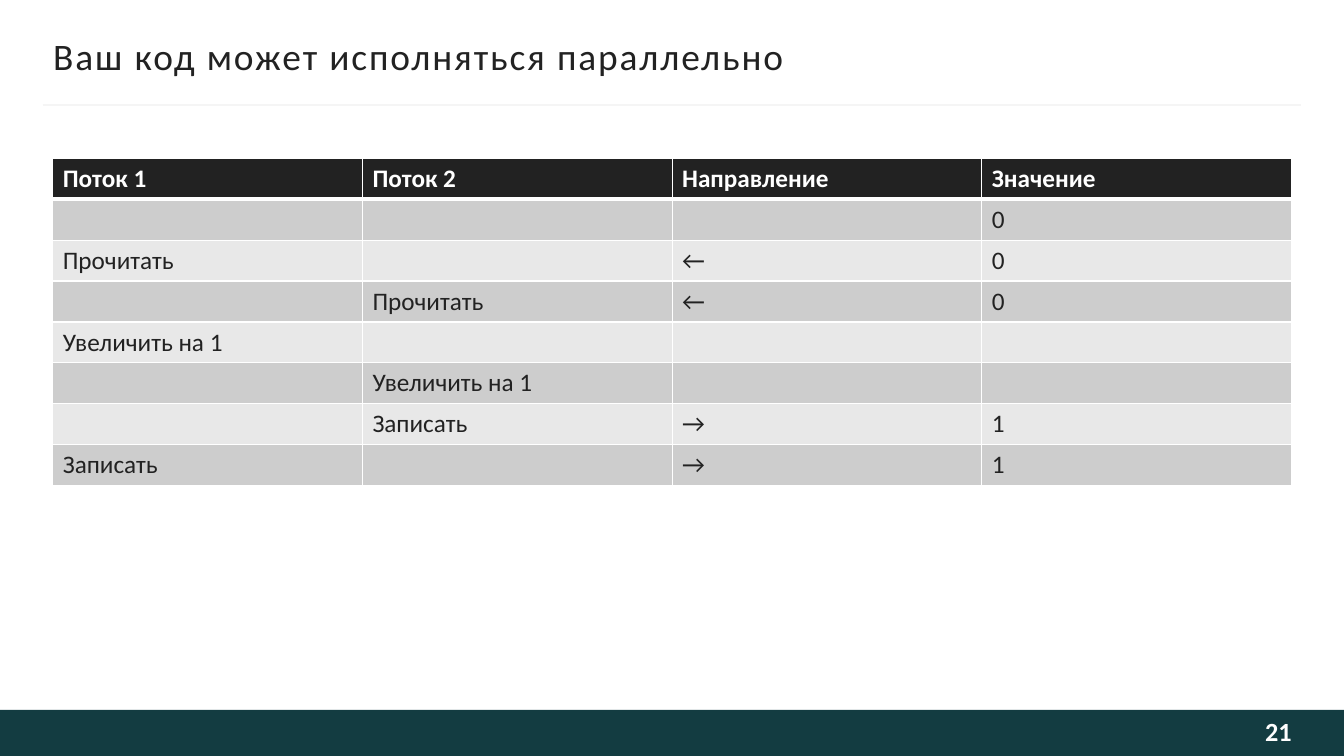
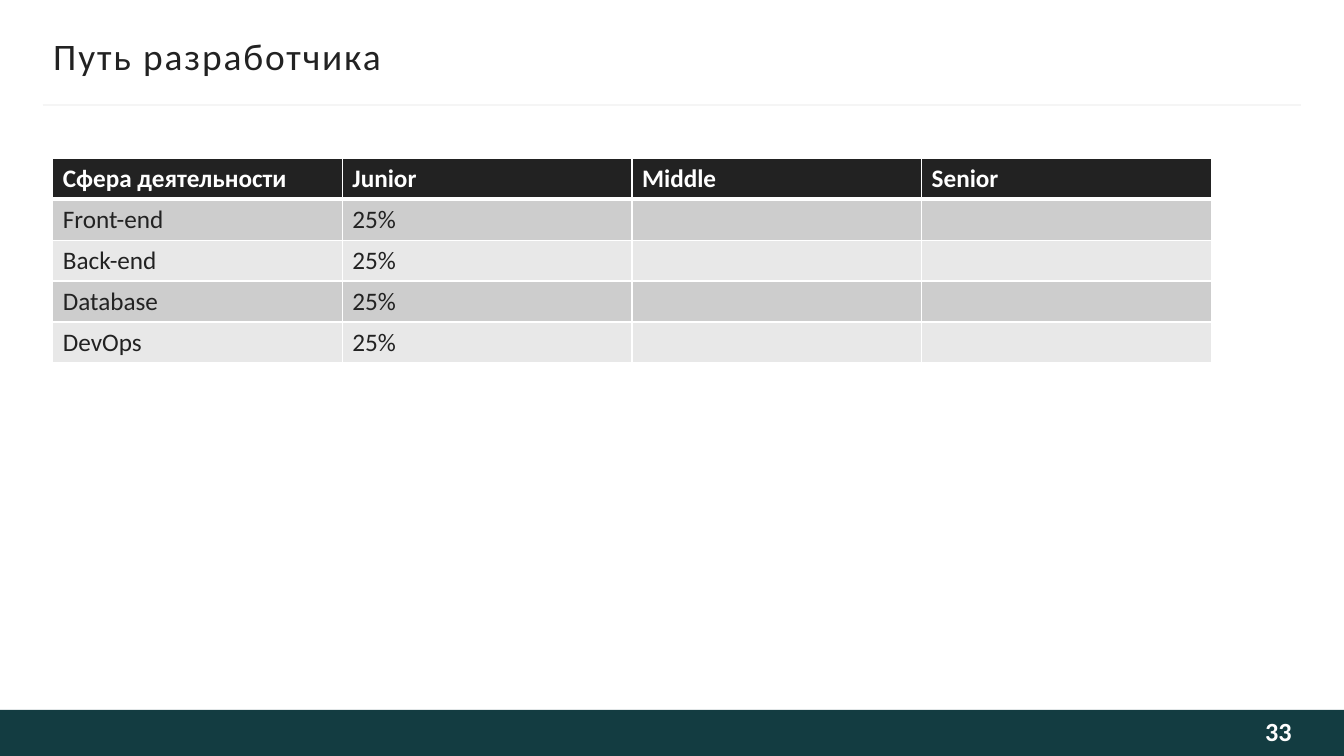
import pptx
import pptx.dml.color
import pptx.enum.shapes
import pptx.enum.text
import pptx.util
import lxml.etree

Pt = pptx.util.Pt
FONT = "Calibri"
COLORS = {
    "ink": "222222",
    "white": "FFFFFF",
    "band": "133C41",
    "rule": "F5F5F5",
    "number": "FEFEFE",
    "dark_row": "CDCDCD",
    "light_row": "E8E8E8",
}
ROW_HEIGHT = 29.2
TABLE_LEFT, TABLE_TOP = 37.7, 113.2
BAND_TOP, BAND_HEIGHT = 507, 33

SLIDES = [
    {
        "title": "Ваш код может исполняться параллельно",
        "number": "21",
        "column_width": 221.2,
        "rows": [
            ("Поток 1", "Поток 2", "Направление", "Значение"),
            ("", "", "", "0"),
            ("Прочитать", "", "←", "0"),
            ("", "Прочитать", "←", "0"),
            ("Увеличить на 1", "", "", ""),
            ("", "Увеличить на 1", "", ""),
            ("", "Записать", "→", "1"),
            ("Записать", "", "→", "1"),
        ],
    },
    {
        "title": "Путь разработчика",
        "number": "33",
        "column_width": 206.9,
        "rows": [
            ("Сфера деятельности", "Junior", "Middle", "Senior"),
            ("Front-end", "25%", "", ""),
            ("Back-end", "25%", "", ""),
            ("Database", "25%", "", ""),
            ("DevOps", "25%", "", ""),
        ],
    },
]


def color(name):
    return pptx.dml.color.RGBColor.from_string(COLORS[name])


def write(frame, text, size, color_name, bold=False):
    frame.text = text
    para = frame.paragraphs[0]
    para.font.name = FONT
    para.font.size = Pt(size)
    para.font.bold = bold
    para.font.color.rgb = color(color_name)
    return para


deck = pptx.Presentation()
deck.slide_width, deck.slide_height = Pt(960), Pt(540)
blank = deck.slide_layouts[6]

for content in SLIDES:
    page = deck.slides.add_slide(blank)

    # Footer band
    band = page.shapes.add_shape(pptx.enum.shapes.MSO_SHAPE.RECTANGLE,
                                 0, Pt(BAND_TOP), Pt(960), Pt(BAND_HEIGHT))
    band.shadow.inherit = False
    band.fill.solid()
    band.fill.fore_color.rgb = color("band")
    band.line.fill.background()

    # Rule below the title
    rule = page.shapes.add_connector(pptx.enum.shapes.MSO_CONNECTOR.STRAIGHT,
                                     Pt(30.7), Pt(75), Pt(929), Pt(75))
    rule.line.color.rgb = color("rule")
    rule.line.width = Pt(1.5)
    lxml.etree.SubElement(rule.element.spPr, pptx.oxml.ns.qn("a:effectLst"))

    # Title and slide number
    title = page.shapes.add_textbox(Pt(38), Pt(23.8), Pt(884.9), Pt(31.7))
    number = page.shapes.add_textbox(Pt(778.6), Pt(BAND_TOP), Pt(144), Pt(BAND_HEIGHT))
    for box, bottom_inset in ((title, 3.6), (number, 6.5)):
        frame = box.text_frame
        frame.word_wrap = True
        frame.vertical_anchor = pptx.enum.text.MSO_ANCHOR.MIDDLE
        frame.margin_left = frame.margin_right = 0
        frame.margin_top, frame.margin_bottom = Pt(3.6), Pt(bottom_inset)
    write(title.text_frame, content["title"], 26.7, "ink")
    title.element.xpath(".//a:defRPr")[0].set("spc", "133")
    para = write(number.text_frame, content["number"], 18.7, "number", bold=True)
    para.alignment = pptx.enum.text.PP_ALIGN.RIGHT

    # Table
    rows = content["rows"]
    columns = len(rows[0])
    table = page.shapes.add_table(
        len(rows), columns, Pt(TABLE_LEFT), Pt(TABLE_TOP),
        Pt(columns * content["column_width"]), Pt(len(rows) * ROW_HEIGHT)).table
    for column in table.columns:
        column.width = Pt(content["column_width"])
    for row_index, texts in enumerate(rows):
        table.rows[row_index].height = Pt(ROW_HEIGHT)
        header = row_index == 0
        fill = "ink" if header else "dark_row" if row_index % 2 else "light_row"
        for column_index, text in enumerate(texts):
            cell = table.cell(row_index, column_index)
            write(cell.text_frame, text, 18, "white" if header else "ink", header)

            # White borders, thicker between header and body
            properties = cell._tc.get_or_add_tcPr()
            for side in "LRTB":
                thick = (row_index, side) in ((0, "B"), (1, "T"))
                border = lxml.etree.SubElement(
                    properties, pptx.oxml.ns.qn("a:ln" + side), w=str(Pt(3 if thick else 1)))
                paint = lxml.etree.SubElement(border, pptx.oxml.ns.qn("a:solidFill"))
                lxml.etree.SubElement(paint, pptx.oxml.ns.qn("a:srgbClr"), val=COLORS["white"])
            cell.fill.solid()
            cell.fill.fore_color.rgb = color(fill)

deck.save("out.pptx")
